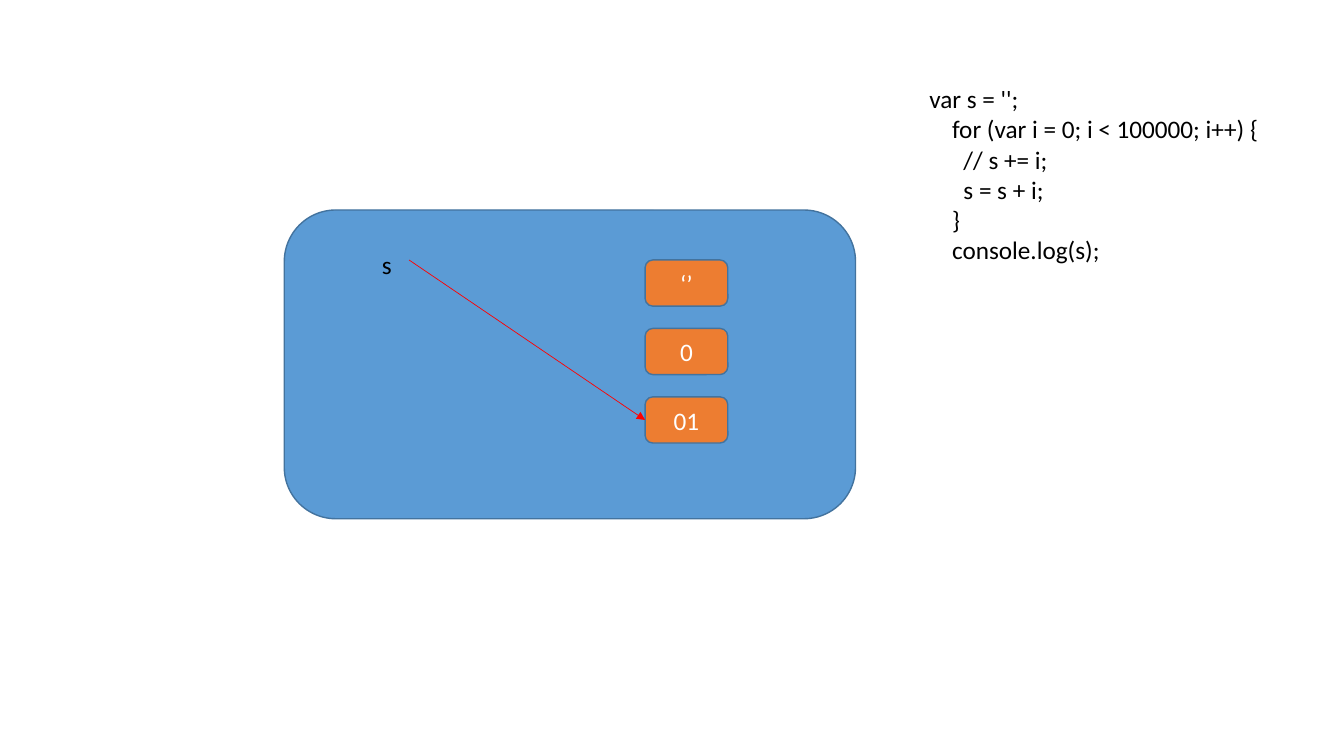
from dataclasses import dataclass

from lxml.etree import SubElement
from pptx import Presentation
from pptx.dml.color import RGBColor as Color
from pptx.enum.shapes import MSO_CONNECTOR as Connector, MSO_SHAPE as Shape
from pptx.enum.text import MSO_ANCHOR as Anchor, MSO_AUTO_SIZE as AutoSize, PP_ALIGN as Align
from pptx.oxml.ns import qn
from pptx.util import Inches, Pt


@dataclass(frozen=True)
class Theme:
    """Colours, type and line sizes of the slide."""
    panel: str = "5B9BD5"
    value: str = "ED7D31"
    outline: str = "43739E"
    arrow: str = "FF0000"
    ink: str = "000000"
    light: str = "FFFFFF"
    font: str = "Calibri"
    text_size: float = 18
    outline_width: float = 1
    arrow_width: float = 0.5
    space_width: float = 4.07


class Sketch:
    """Draws on one slide, measured in cells of a 32 by 18 grid."""

    COLUMNS, ROWS = 32, 18

    def __init__(self, deck, theme):
        """Add a blank slide and work out the grid."""
        self.theme = theme
        self.slide = deck.slides.add_slide(deck.slide_layouts[6])
        self.column = deck.slide_width / self.COLUMNS
        self.row = deck.slide_height / self.ROWS

    def place(self, *cells):
        """Turn alternating column and row counts into lengths."""
        return [round(cell * (self.row if index % 2 else self.column))
                for index, cell in enumerate(cells)]

    def add_span(self, para, text, color):
        """Add one styled run to a paragraph."""
        span = para.add_run()
        span.text = text
        span.font.name = self.theme.font
        span.font.size = Pt(self.theme.text_size)
        span.font.color.rgb = Color.from_string(color)

    def rounded(self, cells, fill, text=None):
        """Draw an outlined rounded box, with centred text if given."""
        box = self.slide.shapes.add_shape(Shape.ROUNDED_RECTANGLE, *self.place(*cells))
        box.shadow.inherit = False
        box.fill.solid()
        box.fill.fore_color.rgb = Color.from_string(fill)
        box.line.color.rgb = Color.from_string(self.theme.outline)
        box.line.width = Pt(self.theme.outline_width)
        if text:
            box.text_frame.vertical_anchor = Anchor.MIDDLE
            para = box.text_frame.paragraphs[0]
            para.alignment = Align.CENTER
            self.add_span(para, text, self.theme.light)
        return box

    def lines(self, cells, lines):
        """Set lines given as (indent in spaces, text) pairs."""
        frame = self.slide.shapes.add_textbox(*self.place(*cells)).text_frame
        frame.word_wrap = False
        frame.auto_size = AutoSize.SHAPE_TO_FIT_TEXT
        for index, (indent, text) in enumerate(lines):
            para = frame.add_paragraph() if index else frame.paragraphs[0]
            if indent:
                margin = Pt(indent * self.theme.space_width)
                properties = para._p.get_or_add_pPr()
                properties.set("marL", str(int(margin)))
                properties.set("indent", "0")
            self.add_span(para, text, self.theme.ink)

    def arrow(self, start, target):
        """Draw an arrow from a grid point to the left side of a box."""
        left, top = self.place(*start)
        line = self.slide.shapes.add_connector(Connector.STRAIGHT, left, top, left, top)
        line.end_connect(target, 1)
        line.line.color.rgb = Color.from_string(self.theme.arrow)
        line.line.width = Pt(self.theme.arrow_width)
        SubElement(line.line._get_or_add_ln(), qn("a:tailEnd"), type="triangle")
        SubElement(line._element.spPr, qn("a:effectLst"))


CODE = [
    (0, "var s = '';"),
    (4, "for (var i = 0; i < 100000; i++) {"),
    (6, "// s += i;"),
    (6, "s = s + i;"),
    (4, "}"),
    (4, "console.log(s);"),
]
VALUES = ["‘’", "0", "01"]
VALUE_LEFT, VALUE_TOP, VALUE_STEP = 15.36, 6.19, 1.63
VALUE_SIZE = (1.97, 1.1)


def main():
    """Build and save the slide."""
    deck = Presentation()
    deck.slide_width, deck.slide_height = Inches(13.33), Inches(7.5)
    theme = Theme()
    sketch = Sketch(deck, theme)
    sketch.rounded((6.77, 5, 13.6, 7.35), theme.panel)
    sketch.lines((21.89, 1.87, 8.42, 4.61), CODE)
    boxes = [
        sketch.rounded((VALUE_LEFT, VALUE_TOP + index * VALUE_STEP, *VALUE_SIZE),
                       theme.value, text)
        for index, text in enumerate(VALUES)
    ]
    sketch.lines((8.86, 5.81, 0.72, 0.96), [(0, "s")])
    sketch.arrow((9.74, VALUE_TOP), boxes[-1])
    deck.save("out.pptx")


main()
